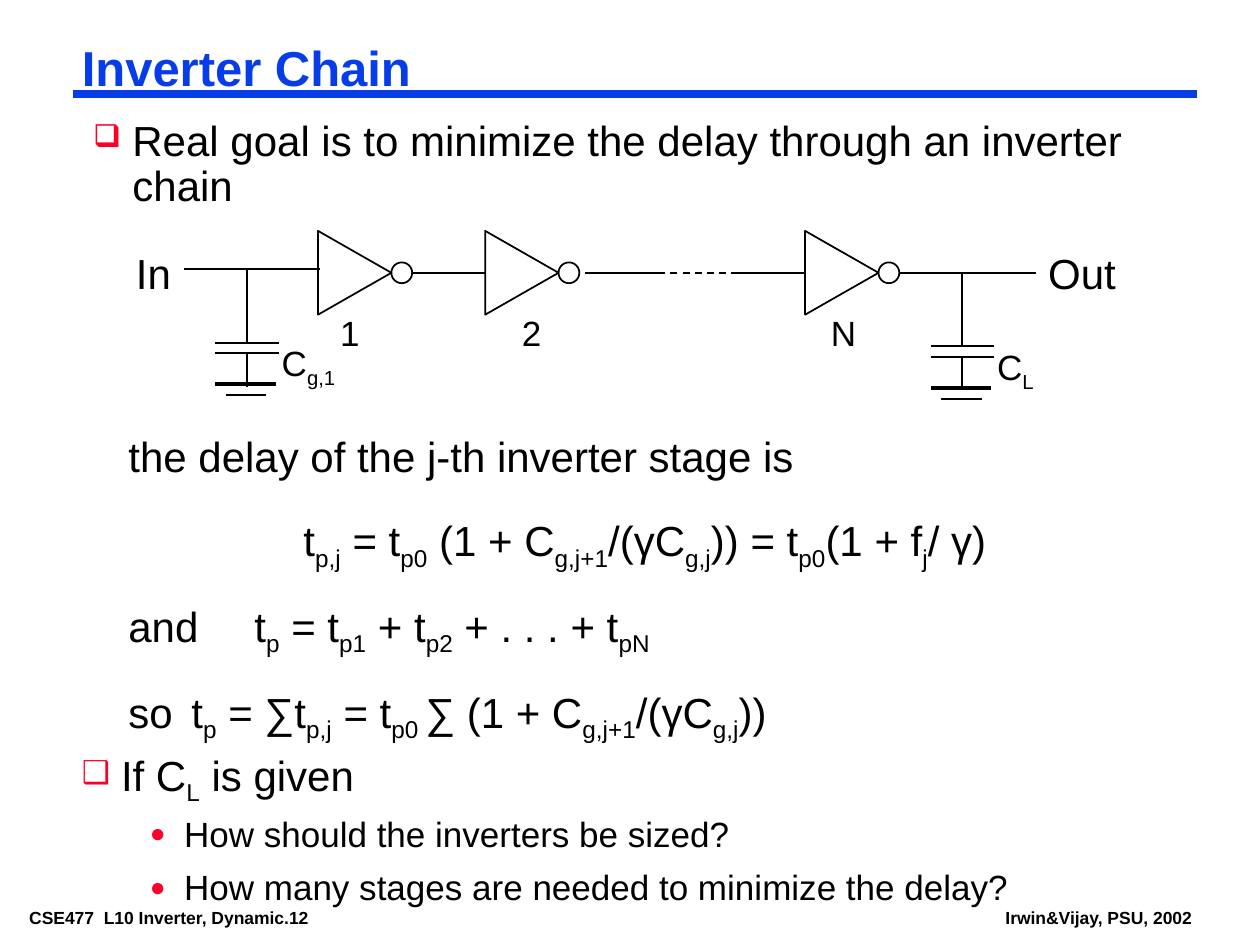
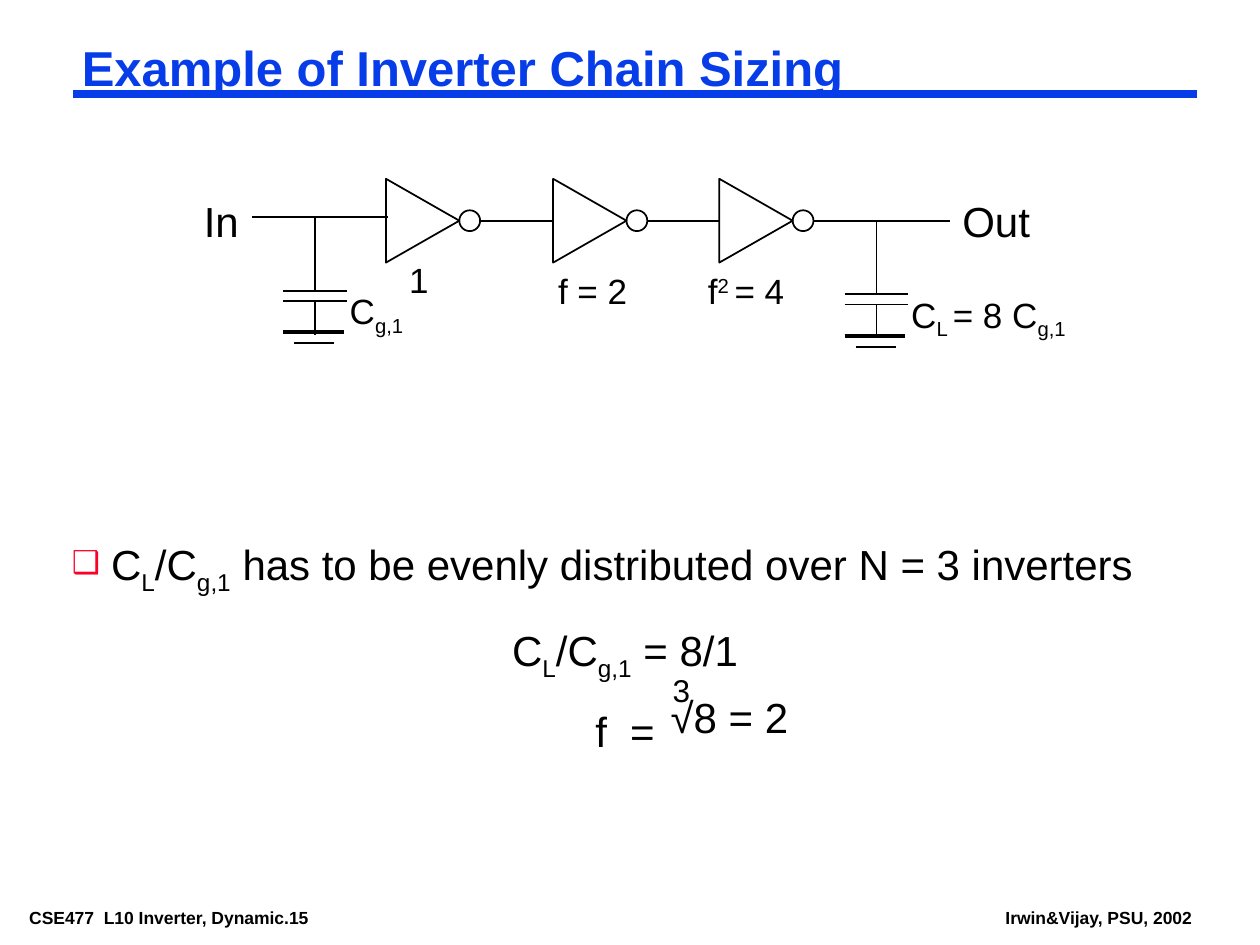
import lxml.etree
import pptx
import pptx.dml.color
import pptx.enum.dml
import pptx.enum.shapes
import pptx.enum.text
import pptx.oxml.ns
import pptx.util

Cm, Pt = pptx.util.Cm, pptx.util.Pt

COLORS = {"heading": "063DE8", "ink": "000000", "bullet": "FC0128"}
FONT = "Arial"
TIGHT, ROOMY = (0.18, 0.08), (0.25, 0.13)  # side and top margins, cm

STYLES = {
    "title": {"size": 28, "bold": True, "color": "heading", "lines": 0.87},
    "footer": {"size": 10, "bold": True},
    "goal": {"size": 24, "lines": 0.9, "before": 19.5, "mark": "❑", "left": 0.79, "hang": 0.79},
    "question": {"size": 20, "lines": 0.85, "before": 10, "mark": "●", "left": 2.06, "hang": 0.69,
                 "level": 1},
    "formula": {"size": 24, "lines": 0.9, "before": 19.5, "centered": True},
    "statement": {"size": 24, "lines": 0.9, "before": 19.5, "tab": 3.72},
    "terminal": {"size": 24},
    "label": {"size": 20},
    "root": {"size": 18},
}

# Text between bars is subscript; with a caret it is superscript.
# Gates: left edge, label, label shift, label drop below the axis, label width (cm).
SLIDES = [
    {
        "title": "Inverter Chain",
        "number": 12,
        "body": ((1.47, 15.04, 22.66, 3.33), [
            ("goal", "If C|L| is given"),
            ("question", "How should the inverters be sized?"),
            ("question", "How many stages are needed to minimize the delay?"),
        ]),
        "boxes": [
            ((1.7, 2.34, 22.66, 2.3), TIGHT, [
                ("goal", "Real goal is to minimize the delay through an inverter chain"),
            ]),
            ((2.41, 8.71, 21.18, 6.5), TIGHT, [
                ("statement", "the delay of the j-th inverter stage is"),
                ("formula", "t|p,j| = t|p0| (1 + C|g,j+1|/(γC|g,j|)) = t|p0|(1 + f|j|/ γ)"),
                ("statement", "and\tt|p| = t|p1| + t|p2| + . . . + t|pN|"),
                ("statement", "so\tt|p| = ∑t|p,j| = t|p0 |∑ (1 + C|g,j+1|/(γC|g,j|))"),
            ]),
        ],
        "chain": {
            "start": 3.71, "axis": 5.5, "load": ("C|L|", 1.24),
            "gates": [(6.41, "1", 0.2, 0.64, 0.89), (9.78, "2", 0.49, 0.64, 0.89),
                      (16.23, "N", 0.27, 0.64, 1.02)],
        },
    },
    {
        "title": "Example of Inverter Chain Sizing",
        "number": 15,
        "body": ((1.27, 10.8, 22.66, 6.12), [
            ("goal", "C|L|/C|g,1| has to be evenly distributed over N = 3 inverters"),
            ("formula", "C|L|/C|g,1| = 8/1"),
            ("formula", "f  ="),
        ]),
        "boxes": [
            ((13.31, 13.39, 0.86, 1.02), ROOMY, [("root", "3")]),
            ((13.34, 13.97, 3.61, 1.07), TIGHT, [("statement", "√8 = 2")]),
        ],
        "chain": {
            "start": 5.08, "axis": 4.45, "load": ("C|L |= 8 C|g,1|", 3.63),
            "gates": [(7.78, "1", 0.22, 0.64, 0.89), (11.15, "f = 2", -0.15, 0.85, 1.91),
                      (14.5, "f|^2 |= 4", -0.48, 0.85, 2.03)],
        },
    },
]

GATE_WIDTH, GATE_HEIGHT, BUBBLE = 1.48, 1.69, 0.42
GATE_SPAN = GATE_WIDTH + BUBBLE
LEAD = 2.75          # wire at either end of the chain
TAP = 1.27           # distance along a lead to its capacitor
INPUT_RISE = 0.07    # the input lead lies a little above the axis


def color_of(name):
    return pptx.dml.color.RGBColor.from_string(COLORS[name])


def add_element(parent, tag, **attributes):
    return lxml.etree.SubElement(parent, pptx.oxml.ns.qn(tag), **attributes)


def format_paragraph(para, style, first):
    """Set bullet, tab, indents and spacing from a style."""
    properties = para._p.get_or_add_pPr()
    properties.set("marL", str(Cm(style.get("left", 0))))
    properties.set("indent", str(-Cm(style.get("hang", 0))))
    if "mark" in style:
        tint = add_element(properties, "a:buClr")
        add_element(tint, "a:srgbClr", val=COLORS["bullet"])
        add_element(properties, "a:buSzPct", val="75000")
        add_element(properties, "a:buChar", char=style["mark"])
    else:
        add_element(properties, "a:buNone")
    if "tab" in style:
        stops = add_element(properties, "a:tabLst")
        add_element(stops, "a:tab", pos=str(Cm(style["tab"])), algn="l")
    para.level = style.get("level", 0)
    para.line_spacing = style.get("lines", 1.0)
    para.space_before = Pt(0 if first else style.get("before", 0))
    align = pptx.enum.text.PP_ALIGN
    para.alignment = align.CENTER if style.get("centered") else align.LEFT


def add_spans(para, text, style):
    """Add the runs of a text whose odd pieces between bars are shifted."""
    for index, piece in enumerate(text.split("|")):
        if not piece:
            continue
        span = para.add_run()
        span.text = piece.lstrip("^")
        span.font.name = FONT
        span.font.size = Pt(style["size"])
        span.font.bold = style.get("bold", False)
        span.font.color.rgb = color_of(style.get("color", "ink"))
        if index % 2:
            baseline = "30000" if piece.startswith("^") else "-25000"
            span._r.get_or_add_rPr().set("baseline", baseline)


def write(box, place, margins, paragraphs, wrap=True):
    """Put a box in its place and fill it with (style, text) paragraphs."""
    box.left, box.top, box.width, box.height = map(Cm, place)
    frame = box.text_frame
    frame.auto_size = pptx.enum.text.MSO_AUTO_SIZE.NONE
    frame.vertical_anchor = pptx.enum.text.MSO_ANCHOR.TOP
    frame.word_wrap = wrap
    frame.margin_left = frame.margin_right = Cm(margins[0])
    frame.margin_top = frame.margin_bottom = Cm(margins[1])
    for index, (name, text) in enumerate(paragraphs):
        para = frame.add_paragraph() if index else frame.paragraphs[0]
        format_paragraph(para, STYLES[name], first=index == 0)
        add_spans(para, text, STYLES[name])


def add_text(page, place, margins, paragraphs, wrap=True):
    box = page.shapes.add_textbox(*map(Cm, place))
    write(box, place, margins, paragraphs, wrap)


def add_line(page, x1, y1, x2, y2, weight=1, color="ink", dashed=False):
    line = page.shapes.add_connector(
        pptx.enum.shapes.MSO_CONNECTOR.STRAIGHT, Cm(x1), Cm(y1), Cm(x2), Cm(y2))
    line.line.color.rgb = color_of(color)
    line.line.width = Pt(weight)
    if dashed:
        line.line.dash_style = pptx.enum.dml.MSO_LINE.DASH
    add_element(line._element.spPr, "a:effectLst")


def add_outline(page, kind, center_x, center_y, width, height, rotation=0):
    shape = page.shapes.add_shape(kind, Cm(center_x - width / 2), Cm(center_y - height / 2),
                                  Cm(width), Cm(height))
    shape.rotation = rotation
    shape.shadow.inherit = False
    shape.fill.background()
    shape.line.color.rgb = color_of("ink")
    shape.line.width = Pt(1)


def add_inverter(page, left, axis):
    kinds = pptx.enum.shapes.MSO_SHAPE
    add_outline(page, kinds.ISOSCELES_TRIANGLE, left + GATE_WIDTH / 2, axis,
                GATE_HEIGHT, GATE_WIDTH, rotation=90)
    add_outline(page, kinds.OVAL, left + GATE_WIDTH + BUBBLE / 2, axis, BUBBLE, BUBBLE)


def add_capacitor(page, x, wire, label, width):
    """Hang a grounded capacitor from a wire."""
    for start, end in [(0, 1.48), (1.69, 2.37)]:
        add_line(page, x, wire + start, x, wire + end)
    for drop, left, right, weight in [(1.48, 0.64, 0.64, 1), (1.69, 0.64, 0.64, 1),
                                      (2.32, 0.64, 0.58, 2.25), (2.54, 0.42, 0.39, 1)]:
        add_line(page, x - left, wire + drop, x + right, wire + drop, weight)
    add_text(page, (x + 0.45, wire + 1.33, width, 1.22), ROOMY, [("label", label)], wrap=False)


def add_link(page, start, end, axis):
    """Join two gates; a long gap becomes three wires with a dashed middle."""
    count = round((end - start) / GATE_WIDTH)
    if count == 1:
        add_line(page, start, axis, end, axis)
        return
    for step in range(count):
        right = end - step * GATE_WIDTH
        add_line(page, right - GATE_WIDTH, axis, right, axis, dashed=0 < step < count - 1)


def add_chain(page, chain):
    start, axis, gates = chain["start"], chain["axis"], chain["gates"]
    entry = axis - INPUT_RISE
    exit_start = gates[-1][0] + GATE_SPAN
    exit_end = exit_start + LEAD

    add_line(page, start, entry, start + LEAD, entry)
    add_line(page, exit_start, axis, exit_end, axis)
    for text, left, width in [("In", start - 1.22, 1.22), ("Out", exit_end, 2.39)]:
        add_text(page, (left, axis - 0.63, width, 1.27), ROOMY, [("terminal", text)], wrap=False)
    add_capacitor(page, start + TAP, entry, "C|g,1|", 1.57)
    add_capacitor(page, exit_start + TAP, axis, *chain["load"])

    for left, label, shift, drop, width in gates:
        add_inverter(page, left, axis)
        add_text(page, (left + shift, axis + drop, width, 1.12), ROOMY,
                 [("label", label)], wrap=False)
    for gate, following in zip(gates, gates[1:]):
        add_link(page, gate[0] + GATE_SPAN, following[0], axis)


def add_frame(page, number):
    """Add the rule under the title and the two footers."""
    add_line(page, 1.47, 1.9, 24.13, 1.9, weight=4.5, color="heading")
    for left, width, text in [(0.41, 7.32, f"CSE477  L10 Inverter, Dynamic.{number}"),
                              (20.09, 4.14, "Irwin&Vijay, PSU, 2002")]:
        add_text(page, (left, 18.21, width, 0.56), TIGHT, [("footer", text)], wrap=False)


def main():
    deck = pptx.Presentation()
    deck.slide_width, deck.slide_height = Cm(25.4), Cm(19.05)
    for content in SLIDES:
        page = deck.slides.add_slide(deck.slide_layouts[1])
        add_frame(page, content["number"])
        write(page.shapes.title, (1.47, 0.84, 22.66, 1.17), TIGHT, [("title", content["title"])])
        place, paragraphs = content["body"]
        write(page.placeholders[1], place, TIGHT, paragraphs)
        add_chain(page, content["chain"])
        for box in content["boxes"]:
            add_text(page, *box)
    deck.save("out.pptx")


if __name__ == "__main__":
    main()
